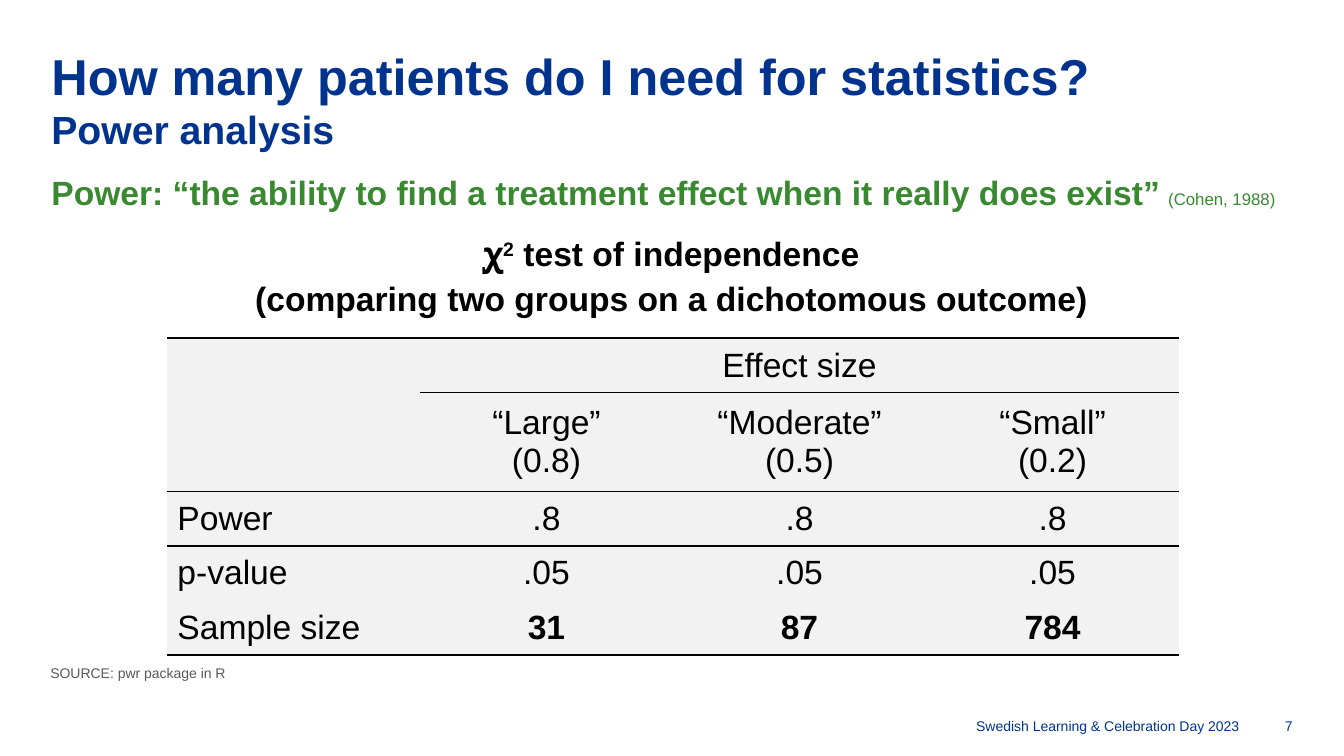
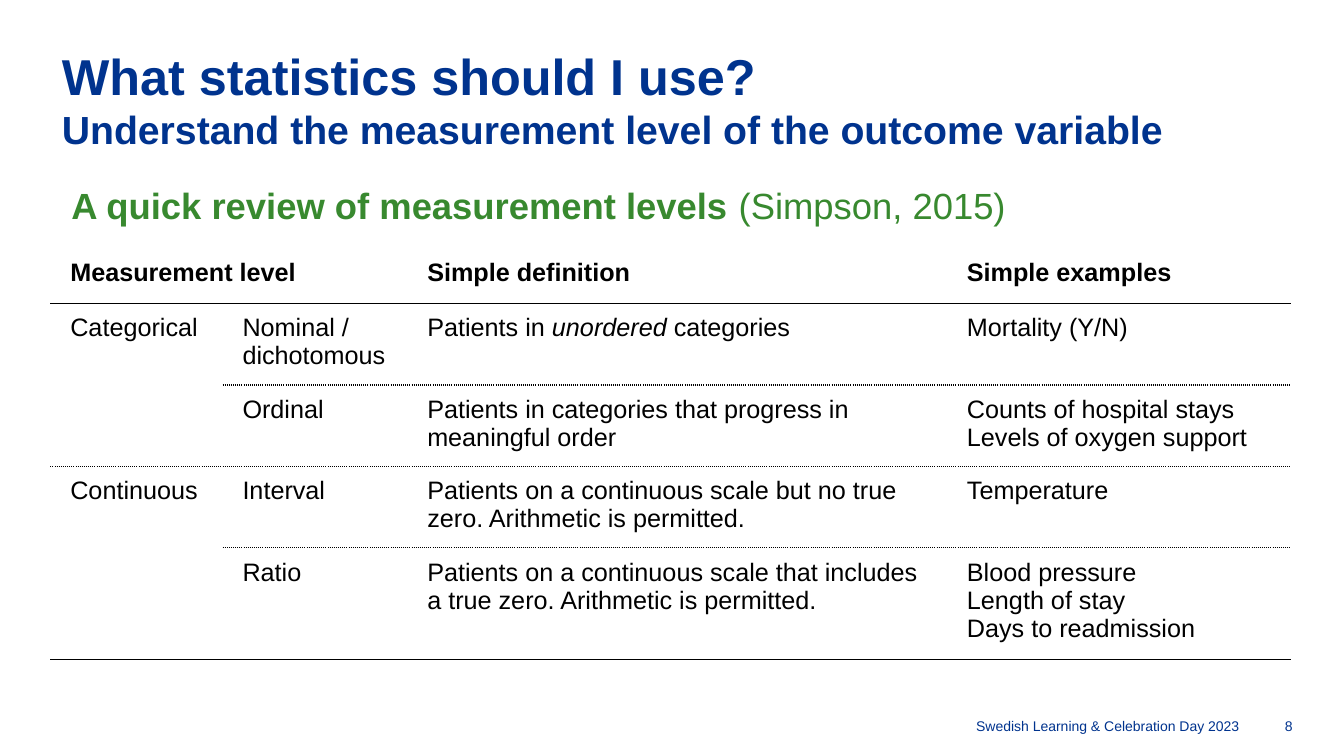
from lxml import etree
from pptx import Presentation
from pptx import util as u
from pptx.dml.color import RGBColor
from pptx.enum import text
from pptx.oxml import ns

PX = 9525  # EMU per px, 96 px to the inch
FONT = "Arial"
FOOTER = "Swedish Learning & Celebration Day 2023"
COLORS = {"navy": "00338E", "green": "38892F", "grey": "595959",
          "black": "000000", "panel": "F2F2F2"}
NO_STYLE = "{2D5ABB26-0587-4C30-8999-92F81FD0307C}"
LEFT, WIDTH = 48, 1183
ALIGN, ANCHOR = text.PP_ALIGN, text.MSO_ANCHOR
MARGINS = ("margin_left", "margin_top", "margin_right", "margin_bottom")
BREAK = "\n"
BOLD = {"bold": True}


def px(n):
    return u.Emu(n * PX)


def set_attrs(obj, values):
    for name, value in values.items():
        setattr(obj, name, value)


# Text: a paragraph is a string or a list of strings and (string, format) pairs
def add_run(p, content, color, fmt):
    fmt = dict(fmt)
    raised = fmt.pop("raised", False)
    r = p.add_run()
    r.text = content
    set_attrs(r.font, {"name": FONT, **fmt})
    r.font.color.rgb = RGBColor.from_string(COLORS[color])
    if raised:
        r.font._element.set("baseline", "30000")


def write(tf, paragraphs, color, align=ALIGN.LEFT, after=0, **fmt):
    for i, runs in enumerate(paragraphs):
        p = tf.paragraphs[0] if i == 0 else tf.add_paragraph()
        set_attrs(p, {"alignment": align, "space_after": u.Pt(after)})
        for run in [runs] if isinstance(runs, str) else runs:
            content, extra = (run, {}) if isinstance(run, str) else run
            if content == BREAK:
                p.add_line_break()
            else:
                add_run(p, content, color, {**fmt, **extra})


def add_text(s, box, paragraphs, color, insets=(0, 0, 0, 0),
             anchor=ANCHOR.TOP, **fmt):
    tf = s.shapes.add_textbox(*map(px, box)).text_frame
    set_attrs(tf, {"word_wrap": True, "vertical_anchor": anchor})
    set_attrs(tf, dict(zip(MARGINS, map(px, insets))))
    write(tf, paragraphs, color, **fmt)


# Parts that every slide shares
def add_slide(prs, number, title, subtitle, inset=0):
    s = prs.slides.add_slide(prs.slide_layouts[6])
    add_text(s, (49, 48, WIDTH, 92),
             [[title, BREAK, (subtitle, {"size": u.Pt(28)})]], "navy",
             (inset,) * 4, ANCHOR.MIDDLE, size=u.Pt(36), bold=True)
    for left, width, content in ((451, 729, FOOTER), (1179, 52, str(number))):
        add_text(s, (left, 675, width, 24), [content], "navy",
                 anchor=ANCHOR.BOTTOM, align=ALIGN.RIGHT, size=u.Pt(10))
    return s


# Tables
def set_borders(cell, top, bottom):
    tcPr = cell._tc.get_or_add_tcPr()
    for i, (side, rule) in enumerate(zip("LRTB", (None, None, top, bottom))):
        ln = etree.Element(ns.qn(f"a:ln{side}"))
        if rule:
            width, dash = rule
            ln.set("w", str(u.Pt(width)))
            fill = etree.SubElement(ln, ns.qn("a:solidFill"))
            etree.SubElement(fill, ns.qn("a:srgbClr"), val=COLORS["black"])
            etree.SubElement(ln, ns.qn("a:prstDash"), val=dash)
        else:
            ln.set("w", "0")
            etree.SubElement(ln, ns.qn("a:noFill"))
        tcPr.insert(i, ln)


def add_table(s, left, top, cols, rows, cells, rules, head_span, style):
    """Rules map a row boundary to (first column, width, dash)."""
    table = s.shapes.add_table(len(rows), len(cols), px(left), px(top),
                               px(sum(cols)), px(sum(rows))).table
    set_attrs(table, {"first_row": False, "horz_banding": False})
    table._tbl.tblPr.find(ns.qn("a:tableStyleId")).text = NO_STYLE
    for col, width in zip(table.columns, cols):
        col.width = px(width)
    for row, height in zip(table.rows, rows):
        row.height = px(height)
    first, last = head_span
    table.cell(0, first).merge(table.cell(0, last))

    def rule_at(boundary, c):
        start, width, dash = rules.get(boundary, (len(cols), 0, ""))
        return (width, dash) if c >= start else None

    for r, line in enumerate(cells):
        for c, paragraphs in enumerate(line):
            cell = table.cell(r, c)
            if style["fill"]:
                cell.fill.solid()
                cell.fill.fore_color.rgb = RGBColor.from_string(COLORS[style["fill"]])
            else:
                cell.fill.background()
            set_attrs(cell, dict(zip(MARGINS, map(px, style["insets"]))))
            cell.vertical_anchor = style["anchor"](r)
            set_borders(cell, rule_at(r, c), rule_at(r + 1, c))
            if paragraphs:
                write(cell.text_frame, paragraphs, "black", style["align"](c),
                      size=style["size"], bold=style["bold"](r, c))


# Slides
def power_slide(prs):
    s = add_slide(prs, 7, "How many patients do I need for statistics?",
                  "Power analysis")
    add_text(s, (LEFT, 633, WIDTH, 22), ["SOURCE: pwr package in R"], "grey",
             size=u.Pt(10))
    add_text(s, (49, 164, WIDTH, 38),
             [["Power: “the ability to find a treatment effect when it really does exist”",
               (" ", {"size": u.Pt(20)}),
               ("(Cohen, 1988)", {"size": u.Pt(12), "bold": False})]],
             "green", size=u.Pt(24), bold=True)
    add_text(s, (LEFT, 217, WIDTH, 91),
             [["ꭕ", ("2", {"raised": True}), " test of independence"],
              "(comparing two groups on a dichotomous outcome)"],
             "black", (5, 5, 5, 5), align=ALIGN.CENTER, after=3,
             size=u.Pt(24), bold=True)
    cells = [
        [None, ["Effect size"], None, None],
        [None, ["“Large”", "(0.8)"], ["“Moderate”", "(0.5)"], ["“Small”", "(0.2)"]],
        [["Power"], [".8"], [".8"], [".8"]],
        [["p-value"], [".05"], [".05"], [".05"]],
        [["Sample size"], ["31"], ["87"], ["784"]],
    ]
    rules = {0: (0, 2.25, "solid"), 1: (1, 1, "solid"), 2: (0, 1, "solid"),
             3: (0, 1, "solid"), 5: (0, 2.25, "solid")}
    style = {"fill": "panel", "insets": (10, 5, 10, 5), "size": u.Pt(24),
             "anchor": lambda r: ANCHOR.MIDDLE,
             "align": lambda c: ALIGN.CENTER if c else ALIGN.LEFT,
             "bold": lambda r, c: r == 4 and c > 0}
    add_table(s, 159, 322, [241] * 4, [52, 94, 52, 52, 52], cells, rules,
              (1, 3), style)


def levels_slide(prs):
    insets = (19, 10, 10, 10)
    s = add_slide(prs, 8, "What statistics should I use?",
                  "Understand the measurement level of the outcome variable", 10)
    add_text(s, (49, 164, WIDTH, 61),
             [[("A quick review of measurement levels ", BOLD), "(Simpson, 2015)"]],
             "green", insets, size=u.Pt(26))
    cells = [
        [["Measurement level"], None, ["Simple definition"], ["Simple examples"]],
        [["Categorical"], ["Nominal / dichotomous"],
         [["Patients in ", ("unordered", {"italic": True}), " categories"]],
         ["Mortality (Y/N)"]],
        [None, ["Ordinal"],
         ["Patients in categories that progress in meaningful order"],
         ["Counts of hospital stays", "Levels of oxygen support"]],
        [["Continuous"], ["Interval"],
         ["Patients on a continuous scale but no true zero. Arithmetic is permitted."],
         ["Temperature"]],
        [None, ["Ratio"],
         ["Patients on a continuous scale that includes a true zero. Arithmetic is permitted."],
         ["Blood pressure", "Length of stay", "Days to readmission"]],
    ]
    rules = {1: (0, 1, "solid"), 2: (1, 1, "sysDot"), 3: (0, 1, "sysDot"),
             4: (1, 1, "sysDot"), 5: (0, 1, "solid")}
    style = {"fill": None, "insets": insets, "size": u.Pt(18),
             "anchor": lambda r: ANCHOR.TOP if r else ANCHOR.MIDDLE,
             "align": lambda c: ALIGN.LEFT,
             "bold": lambda r, c: r == 0}
    add_table(s, LEFT, 230, [164, 176, 514, 328], [59, 73, 75, 76, 102],
              cells, rules, (0, 1), style)


def main():
    prs = Presentation()
    set_attrs(prs, {"slide_width": px(1280), "slide_height": px(720)})
    power_slide(prs)
    levels_slide(prs)
    prs.save("out.pptx")


if __name__ == "__main__":
    main()
